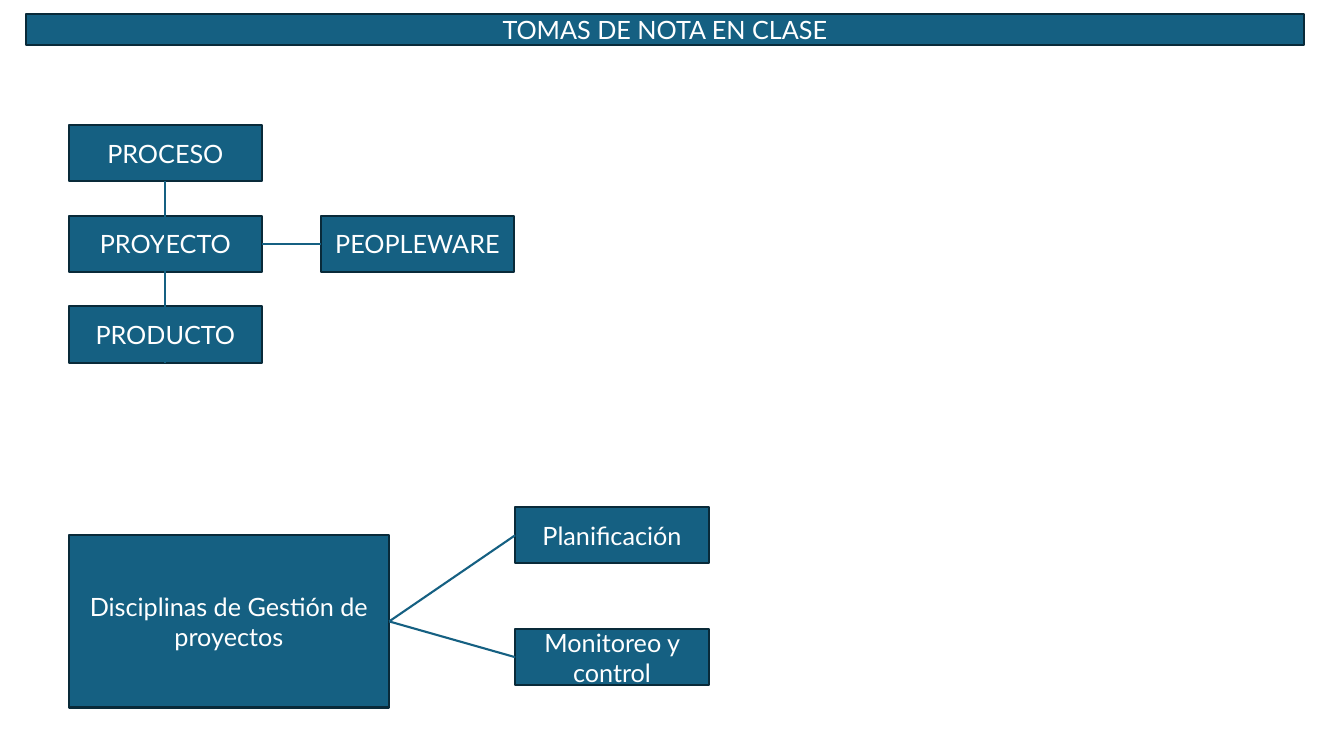
from lxml import etree
from pptx import Presentation
from pptx import util as u
from pptx.dml.color import RGBColor
from pptx.enum import shapes, text
from pptx.oxml import ns

SCALE = 9144
FILL, EDGE, WHITE = "156082", "092A39", "FFFFFF"
WIDE, HIGH = 192, 56
BOTTOM, LEFT, RIGHT = 2, 1, 3


def px(*nums):
    """Turn pixels, 100 to the inch, into EMU."""
    return [u.Emu(num * SCALE) for num in nums]


def tint(code):
    """Turn a hex string into a colour."""
    return RGBColor.from_string(code)


def paint(shape, words):
    """Fill and outline a shape and set its centred text."""
    shape.shadow.inherit = False
    shape.fill.solid()
    shape.fill.fore_color.rgb = tint(FILL)
    shape.line.color.rgb = tint(EDGE)
    shape.line.width = u.Pt(1.5)
    frame = shape.text_frame
    frame.text = words
    frame.word_wrap = True
    frame.auto_size = text.MSO_AUTO_SIZE.NONE
    frame.vertical_anchor = text.MSO_ANCHOR.MIDDLE
    frame.margin_top = frame.margin_bottom = 0
    para = frame.paragraphs[0]
    para.alignment = text.PP_ALIGN.CENTER
    font = para.runs[0].font
    font.name, font.size = "Lato", u.Pt(18)
    font.color.rgb = tint(WHITE)


def banner(slide, words, x, y, wide, high):
    """Make the title placeholder a rounded bar."""
    bar = slide.shapes.title
    bar.left, bar.top, bar.width, bar.height = px(x, y, wide, high)
    geom = etree.SubElement(bar.element.spPr, ns.qn("a:prstGeom"), prst="roundRect")
    etree.SubElement(geom, ns.qn("a:avLst"))
    paint(bar, words)


def box(slide, words, x, y, wide=WIDE, high=HIGH):
    """Add a labelled rectangle."""
    kind = shapes.MSO_SHAPE.RECTANGLE
    shape = slide.shapes.add_shape(kind, *px(x, y, wide, high))
    paint(shape, words)
    return shape


def link(slide, start, side, end, edge):
    """Join the sides of two boxes with a straight line."""
    line = slide.shapes.add_connector(shapes.MSO_CONNECTOR.STRAIGHT, 0, 0, 0, 0)
    line.begin_connect(start, side)
    line.end_connect(end, edge)
    line.line.color.rgb = tint(FILL)
    line.line.width = u.Pt(1.5)
    etree.SubElement(line.element.spPr, ns.qn("a:effectLst"))


def main():
    """Build the slide and save it."""
    deck = Presentation()
    deck.slide_width, deck.slide_height = px(1333, 750)
    slide = deck.slides.add_slide(deck.slide_layouts[5])
    banner(slide, "TOMAS DE NOTA EN CLASE", 26, 14, 1267, 31)

    names = ["PROCESO", "PROYECTO", "PRODUCTO"]
    first, middle, last = [
        box(slide, name, 68, 124 + 90 * row) for row, name in enumerate(names)
    ]
    people = box(slide, "PEOPLEWARE", 318, 214)
    link(slide, first, BOTTOM, last, BOTTOM)
    link(slide, middle, RIGHT, people, LEFT)

    root = box(slide, "Disciplinas de Gestión de proyectos", 68, 531, 318, 171)
    for row, name in enumerate(["Planificación", "Monitoreo y control"]):
        leaf = box(slide, name, 511, 503 + 121 * row)
        link(slide, root, RIGHT, leaf, LEFT)

    deck.save("out.pptx")


if __name__ == "__main__":
    main()
